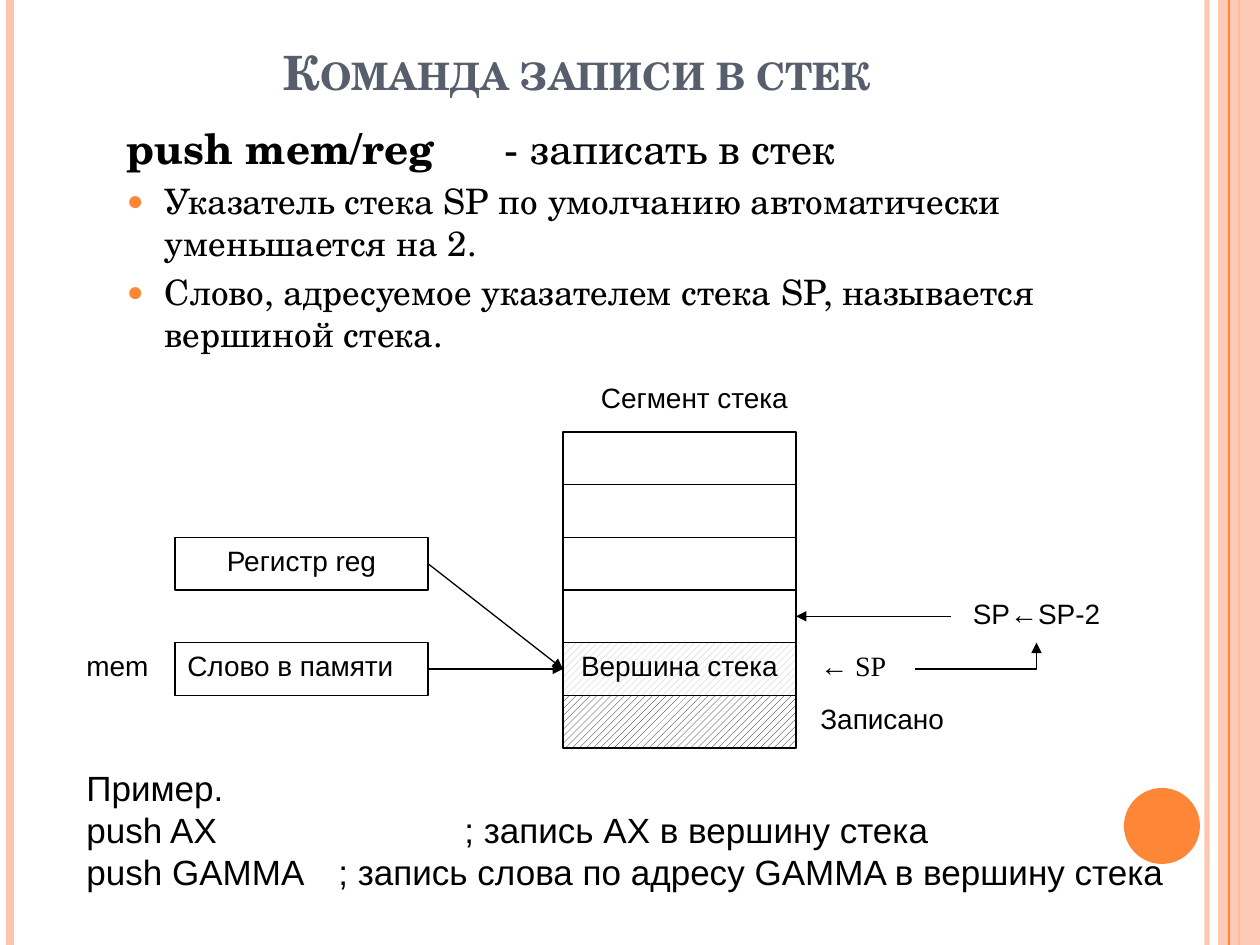
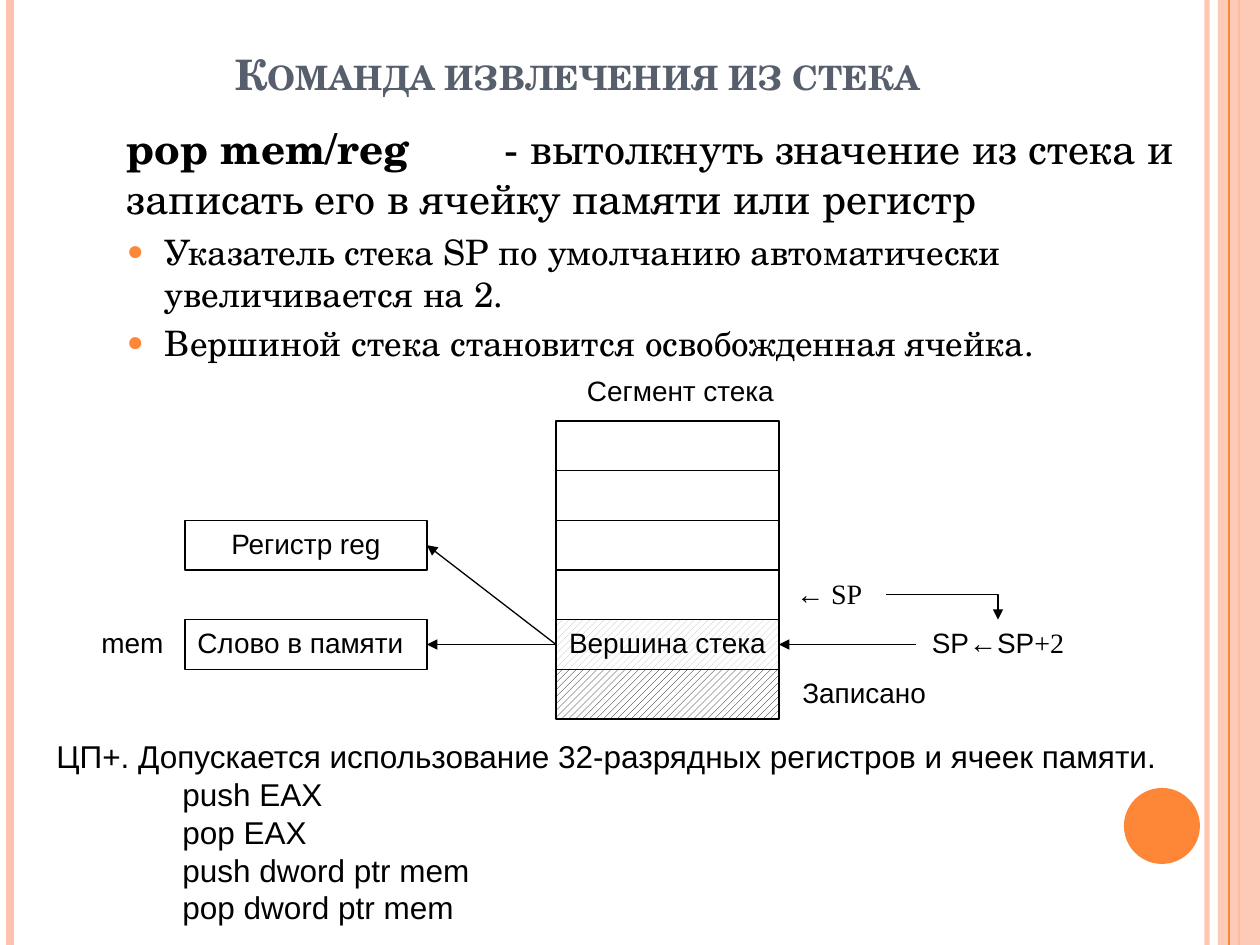
from dataclasses import dataclass

from pptx import Presentation
from pptx.dml.color import RGBColor
from pptx.enum.dml import MSO_PATTERN
from pptx.enum.shapes import MSO_CONNECTOR, MSO_SHAPE
from pptx.enum.text import MSO_ANCHOR, MSO_AUTO_SIZE, PP_ALIGN
from pptx.oxml.ns import qn
from pptx.util import Inches, Pt

PIXELS_PER_INCH = 126
BLACK, WHITE, GRAY = "000000", "FFFFFF", "BFBFBF"
ORANGE, PEACH, SLATE = "FE8637", "FEC3AE", "575F6D"
SERIF, SANS, ROMAN = "TeX Gyre Schola", "Arial", "Times New Roman"
ROWS = 6
REGISTER_ROW, TOP_ROW, WRITTEN_ROW = 2, 4, 5


@dataclass
class Diagram:
    """Places of the stack diagram; each column is (left, width)."""
    top: int
    height: int
    caption_top: int
    stack: tuple
    caption: tuple
    source: tuple
    mem: tuple
    pointer: tuple
    moved: tuple
    written: tuple
    pointer_row: int
    moved_row: int
    moved_runs: list
    writes: bool

    def row_top(self, row):
        return self.top + row * self.height / ROWS

    def middle(self, row):
        return self.row_top(row + 0.5)

    def cell(self, column, row):
        left, width = column
        return left, self.row_top(row), width, self.height / ROWS


# Basic helpers
def px(length):
    return int(Inches(length / PIXELS_PER_INCH))


def color(value):
    return RGBColor.from_string(value)


def add_child(parent, tag, **attributes):
    child = parent.makeelement(qn(tag), attributes)
    parent.append(child)
    return child


def set_opacity(shape, percent):
    color_element = shape.element.spPr.find(".//" + qn("a:srgbClr"))
    add_child(color_element, "a:alpha", val=str(percent * 1000))


def format_run(run, size, font, tint=BLACK, bold=False):
    run.font.size = Pt(size)
    run.font.name = font
    run.font.color.rgb = color(tint)
    run.font.bold = bold


def add_run(paragraph, text, size, font, bold=False):
    run = paragraph.add_run()
    run.text = text
    format_run(run, size, font, bold=bold)


def set_indent(paragraph, left, first):
    properties = paragraph._p.get_or_add_pPr()
    properties.set("marL", str(Inches(left)))
    properties.set("indent", str(Inches(first)))
    properties.set("defTabSz", str(Inches(1)))
    return properties


def place(shape, left, top, width, height):
    shape.left, shape.top = px(left), px(top)
    shape.width, shape.height = px(width), px(height)


# Lines and boxes
def add_line(slide, start, end, tint=BLACK, width=0.75, arrow=False,
             kind=MSO_CONNECTOR.STRAIGHT):
    line = slide.shapes.add_connector(kind, *map(px, start + end))
    line.line.color.rgb = color(tint)
    line.line.width = Pt(width)
    properties = line.element.spPr
    if kind == MSO_CONNECTOR.ELBOW:
        properties.find(qn("a:prstGeom")).set("prst", "bentConnector2")
    if arrow:
        add_child(properties.find(qn("a:ln")), "a:tailEnd", type="triangle")
    add_child(properties, "a:effectLst")
    return line


def add_plain_shape(slide, kind, bounds, fill):
    shape = slide.shapes.add_shape(kind, *map(px, bounds))
    shape.shadow.inherit = False
    shape.fill.solid()
    shape.fill.fore_color.rgb = color(fill)
    shape.line.fill.background()
    return shape


def add_box(slide, bounds, runs=(), centered=True, outlined=True, hatch=None):
    box = add_plain_shape(slide, MSO_SHAPE.RECTANGLE, bounds, WHITE)
    if hatch:
        box.fill.patterned()
        box.fill.pattern = MSO_PATTERN.WIDE_UPWARD_DIAGONAL
        box.fill.fore_color.rgb = color(hatch)
        box.fill.back_color.rgb = color(WHITE)
    if outlined:
        box.line.color.rgb = color(BLACK)
        box.line.width = Pt(0.75)
    box.text_frame.vertical_anchor = MSO_ANCHOR.TOP
    paragraph = box.text_frame.paragraphs[0]
    paragraph.alignment = PP_ALIGN.CENTER if centered else PP_ALIGN.LEFT
    for text, font in runs:
        add_run(paragraph, text, 16, font)


def add_text(slide, bounds, lines, size):
    text_frame = slide.shapes.add_textbox(*map(px, bounds)).text_frame
    text_frame.word_wrap = True
    text_frame.text = "\n".join(lines)
    for paragraph in text_frame.paragraphs:
        set_indent(paragraph, 0, 0)
        for run in paragraph.runs:
            format_run(run, size, SANS)


# Shared frame, kept on the layout
def add_frame(slide):
    layout = slide.slide_layout
    for placeholder in list(layout.placeholders)[2:]:
        placeholder.element.getparent().remove(placeholder.element)

    def band(x, tint, width):
        return add_line(slide, (x, 0), (x, 945), tint, width)

    right_band = band(1207, PEACH, 3)
    set_opacity(right_band, 93)
    left_band = band(10, PEACH, 4.5)
    edge = band(1239, ORANGE, 1.5)
    panel = add_plain_shape(slide, MSO_SHAPE.RECTANGLE, (1218, 0, 42, 945), PEACH)
    set_opacity(panel, 87)
    thin_edge = band(1229, ORANGE, 0.75)
    dot = add_plain_shape(slide, MSO_SHAPE.OVAL, (1124, 788, 76, 76), ORANGE)
    for shape in (right_band, left_band, edge, panel, thin_edge, dot):
        layout.shapes.element.append(shape.element)


# Placeholders
def fill_title(slide, text, size, top, height):
    title = slide.shapes.title
    place(title, 63, top, 1029, height)
    text_frame = title.text_frame
    text_frame.text = text
    text_frame.auto_size = MSO_AUTO_SIZE.NONE
    text_frame.vertical_anchor = MSO_ANCHOR.BOTTOM
    paragraph = text_frame.paragraphs[0]
    paragraph.alignment = PP_ALIGN.CENTER
    run = paragraph.runs[0]
    format_run(run, size, SERIF, SLATE, True)
    run.font._element.set("cap", "small")


def fill_body(slide, height, command, meaning, points):
    body = slide.placeholders[1]
    place(body, 64, 116, 1134, height)
    text_frame = body.text_frame
    text_frame.auto_size = MSO_AUTO_SIZE.NONE
    heading = text_frame.paragraphs[0]
    heading.level = 1
    add_child(set_indent(heading, 0.4, 0), "a:buNone")
    add_run(heading, command, 24, SERIF, True)
    add_run(heading, "\t- " + meaning, 24, SERIF)
    for point in points:
        paragraph = text_frame.add_paragraph()
        paragraph.level = 1
        properties = set_indent(paragraph, 0.7, -0.3)
        add_child(add_child(properties, "a:buClr"), "a:srgbClr", val=ORANGE)
        add_child(properties, "a:buSzPct", val="80000")
        add_child(properties, "a:buFont", typeface=SANS)
        add_child(properties, "a:buChar", char="●")
        add_run(paragraph, point, 20, SERIF)


# Stack diagram
def add_diagram(slide, diagram):
    cell, middle = diagram.cell, diagram.middle

    # Stack segment
    left, width = diagram.caption
    add_box(slide, (left, diagram.caption_top, width, diagram.height / ROWS),
            [("Сегмент стека", SANS)], outlined=False)
    for row in range(TOP_ROW):
        add_box(slide, cell(diagram.stack, row))
    add_box(slide, cell(diagram.stack, TOP_ROW), [("Вершина стека", SANS)], hatch=GRAY)
    add_box(slide, cell(diagram.stack, WRITTEN_ROW), hatch=BLACK)

    # Register and memory word
    add_box(slide, cell(diagram.source, REGISTER_ROW), [("Регистр reg", SANS)])
    add_box(slide, cell(diagram.source, TOP_ROW), [("Слово в памяти", SANS)], False)
    add_text(slide, cell(diagram.mem, TOP_ROW), ["mem"], 16)
    for row in (REGISTER_ROW, TOP_ROW):
        ends = [(sum(diagram.source), middle(row)),
                (diagram.stack[0], middle(TOP_ROW))]
        if not diagram.writes:
            ends.reverse()
        add_line(slide, *ends, arrow=True)

    # Stack pointer before and after the command
    add_box(slide, cell(diagram.pointer, diagram.pointer_row), [("← SP", ROMAN)],
            False, False)
    add_box(slide, cell(diagram.moved, diagram.moved_row), diagram.moved_runs,
            outlined=False)
    add_box(slide, cell(diagram.written, WRITTEN_ROW), [("Записано", SANS)],
            False, False)
    left, width = diagram.moved
    border = diagram.row_top(max(diagram.pointer_row, diagram.moved_row))
    add_line(slide, (sum(diagram.pointer), middle(diagram.pointer_row)),
             (left + width / 2, border), arrow=True, kind=MSO_CONNECTOR.ELBOW)
    add_line(slide, (left, middle(diagram.moved_row)),
             (sum(diagram.stack), middle(diagram.moved_row)), arrow=True)


def build_push(slide):
    fill_title(slide, "Команда записи в стек", 27, 38, 68)
    fill_body(slide, 248, "push mem/reg", "записать в стек", [
        "Указатель стека SP по умолчанию автоматически уменьшается на 2.",
        "Слово, адресуемое указателем стека SP, называется вершиной стека."])
    add_diagram(slide, Diagram(
        top=432, height=316, caption_top=374, stack=(563, 233), caption=(563, 263),
        source=(175, 253), mem=(74, 107), pointer=(808, 107), moved=(951, 171),
        written=(808, 208), pointer_row=4, moved_row=3,
        moved_runs=[("SP", SANS), ("←", ROMAN), ("SP-2", SANS)], writes=True))
    add_text(slide, (74, 760, 1142, 140), [
        "Пример.",
        "push AX\t\t; запись AX в вершину стека",
        "push GAMMA\t; запись слова по адресу GAMMA в вершину стека"], 20)


def build_pop(slide):
    fill_title(slide, "Команда извлечения из стека", 24, 21, 84)
    fill_body(slide, 268, "pop mem/reg",
              "вытолкнуть значение из стека и записать его в ячейку памяти или регистр", [
                  "Указатель стека SP по умолчанию автоматически увеличивается на 2.",
                  "Вершиной стека становится освобожденная ячейка."])
    add_diagram(slide, Diagram(
        top=421, height=298, caption_top=367, stack=(556, 223), caption=(556, 249),
        source=(185, 242), mem=(89, 102), pointer=(784, 102), moved=(916, 164),
        written=(790, 199), pointer_row=3, moved_row=4,
        moved_runs=[("SP", SANS), ("←", ROMAN), ("SP", SANS), ("+2", ROMAN)],
        writes=False))
    commands = ["push EAX", "pop EAX", "push dword ptr mem", "pop dword ptr mem"]
    add_text(slide, (44, 731, 1150, 204), [
        "ЦП+. Допускается использование 32-разрядных регистров и ячеек памяти.",
        *("\t" + command for command in commands)], 18)


def main():
    presentation = Presentation()
    presentation.slide_width, presentation.slide_height = px(1260), px(945)
    layout = presentation.slide_layouts[1]
    push_slide = presentation.slides.add_slide(layout)
    add_frame(push_slide)
    build_push(push_slide)
    build_pop(presentation.slides.add_slide(layout))
    presentation.save("out.pptx")


main()
